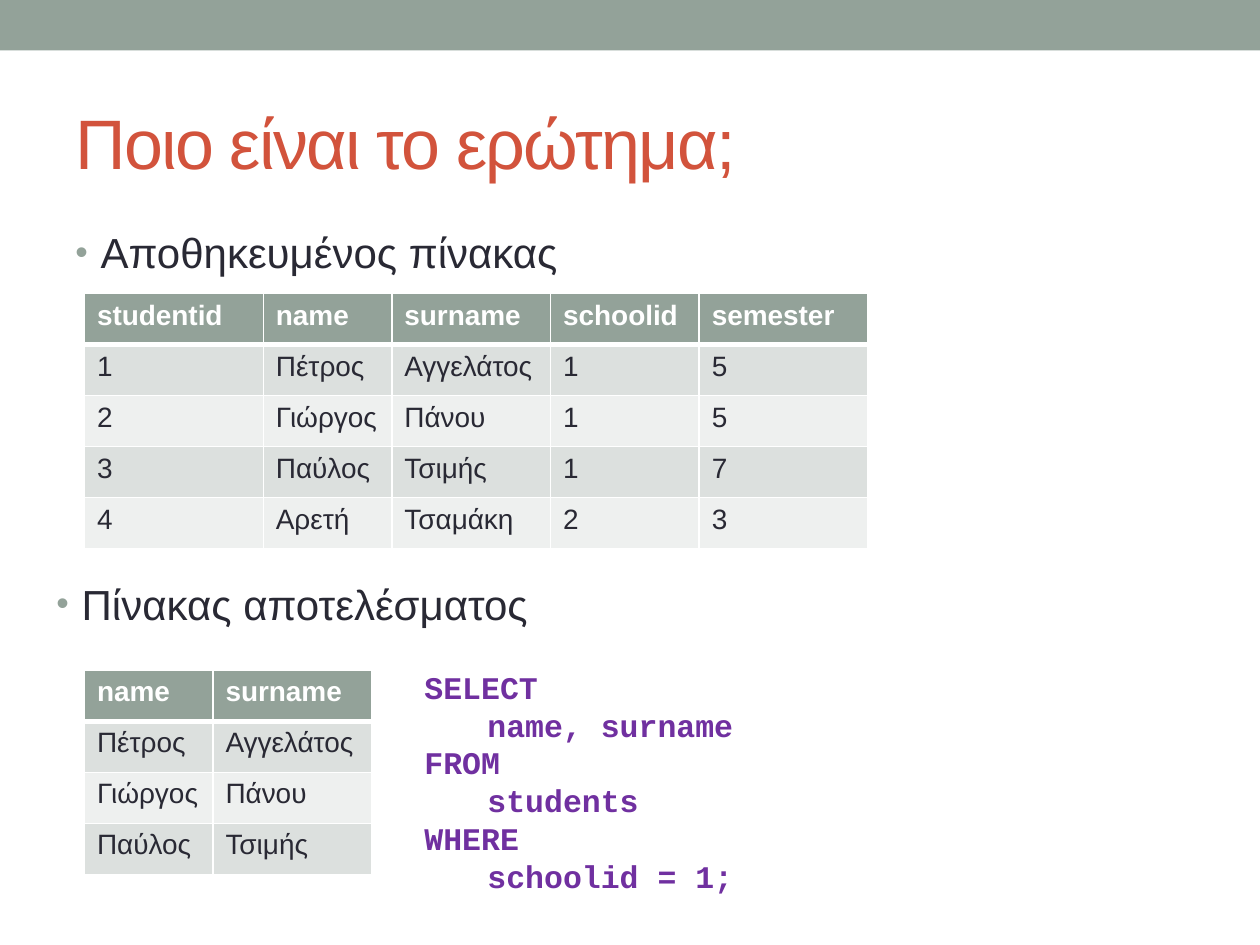
from lxml.etree import SubElement
from pptx import Presentation
from pptx.dml.color import RGBColor
from pptx.enum.shapes import MSO_SHAPE
from pptx.enum.text import MSO_ANCHOR
from pptx.oxml.ns import qn
from pptx.util import Inches, Pt

SAGE, INK, WHITE = "93A299", "292934", "FFFFFF"
BANDS = ("DCE0DE", "EEF0EF")
TITLE = "Ποιο είναι το ερώτημα;"
BULLETS = [
    ("Αποθηκευμένος πίνακας", 0.5, 1.75),
    ("Πίνακας αποτελέσματος", 0.35, 4.54),
]
STUDENTS = [
    ("studentid", "name", "surname", "schoolid", "semester"),
    ("1", "Πέτρος", "Αγγελάτος", "1", "5"),
    ("2", "Γιώργος", "Πάνου", "1", "5"),
    ("3", "Παύλος", "Τσιμής", "1", "7"),
    ("4", "Αρετή", "Τσαμάκη", "2", "3"),
]
RESULT = [row[1:3] for row in STUDENTS if row[3] in ("schoolid", "1")]
WIDTHS = (1.42, 1.02, 1.26, 1.18, 1.34)
TABLE_LEFT, ROW_H = 0.67, 0.405
QUERY = ["SELECT", "\tname, surname", "FROM", "\tstudents", "WHERE", "\tschoolid = 1;"]


def rgb(value):
    return RGBColor.from_string(value)


def write(p, text, size, color=INK, font="Arial", bold=False, spacing=None):
    r = p.add_run()
    r.text = text
    r.font.size, r.font.name, r.font.bold = Pt(size), font, bold
    r.font.color.rgb = rgb(color)
    if spacing is not None:
        r.font._element.set("spc", str(spacing))


def add_box(s, x, y, w, h, anchor=MSO_ANCHOR.TOP):
    tf = s.shapes.add_textbox(Inches(x), Inches(y), Inches(w), Inches(h)).text_frame
    tf.word_wrap, tf.vertical_anchor = True, anchor
    return tf


def add_bullet(p):
    pPr = p._p.get_or_add_pPr()
    pPr.set("marL", str(Inches(0.2)))
    pPr.set("indent", str(Inches(-0.2)))
    SubElement(SubElement(pPr, qn("a:buClr")), qn("a:srgbClr"), val=SAGE)
    SubElement(pPr, qn("a:buSzPct"), val="85000")
    SubElement(pPr, qn("a:buFont"), typeface="Arial")
    SubElement(pPr, qn("a:buChar"), char="•")


def add_borders(cell, top, bottom):
    tcPr = cell._tc.get_or_add_tcPr()
    for side, width in (("L", 1), ("R", 1), ("T", top), ("B", bottom)):
        ln = SubElement(tcPr, qn("a:ln" + side), w=str(Pt(width)))
        SubElement(SubElement(ln, qn("a:solidFill")), qn("a:srgbClr"), val=WHITE)


def add_data_table(s, rows, widths, y):
    frame = s.shapes.add_table(len(rows), len(widths), Inches(TABLE_LEFT), Inches(y),
                               Inches(sum(widths)), Inches(ROW_H * len(rows)))
    table = frame.table
    for column, width in zip(table.columns, widths):
        column.width = Inches(width)
    for i, row in enumerate(rows):
        table.rows[i].height = Inches(ROW_H)
        header = i == 0
        for j, text in enumerate(row):
            cell = table.cell(i, j)
            add_borders(cell, 3 if i == 1 else 1, 3 if header else 1)
            cell.fill.solid()
            cell.fill.fore_color.rgb = rgb(SAGE if header else BANDS[(i - 1) % 2])
            write(cell.text_frame.paragraphs[0], text, 16,
                  WHITE if header else INK, bold=header)


prs = Presentation()
prs.slide_width, prs.slide_height = Inches(10), Inches(7.5)
s = prs.slides.add_slide(prs.slide_layouts[6])

band = s.shapes.add_shape(MSO_SHAPE.RECTANGLE, 0, 0, prs.slide_width, Inches(0.4))
band.shadow.inherit = False
band.fill.solid()
band.fill.fore_color.rgb = rgb(SAGE)
band.line.fill.background()

tf = add_box(s, 0.5, 0.58, 9, 1.08, MSO_ANCHOR.MIDDLE)
write(tf.paragraphs[0], TITLE, 40, "D2533C", spacing=-100)

for text, x, y in BULLETS:
    p = add_box(s, x, y, 9, 0.5).paragraphs[0]
    add_bullet(p)
    write(p, text, 24)

add_data_table(s, STUDENTS, WIDTHS, 2.33)
add_data_table(s, RESULT, WIDTHS[1:3], 5.32)

tf = add_box(s, 3.27, 5.25, 6.69, 1.92)
for i, line in enumerate(QUERY):
    p = tf.add_paragraph() if i else tf.paragraphs[0]
    write(p, line, 18, "7030A0", "Courier New", True)

prs.save("out.pptx")
